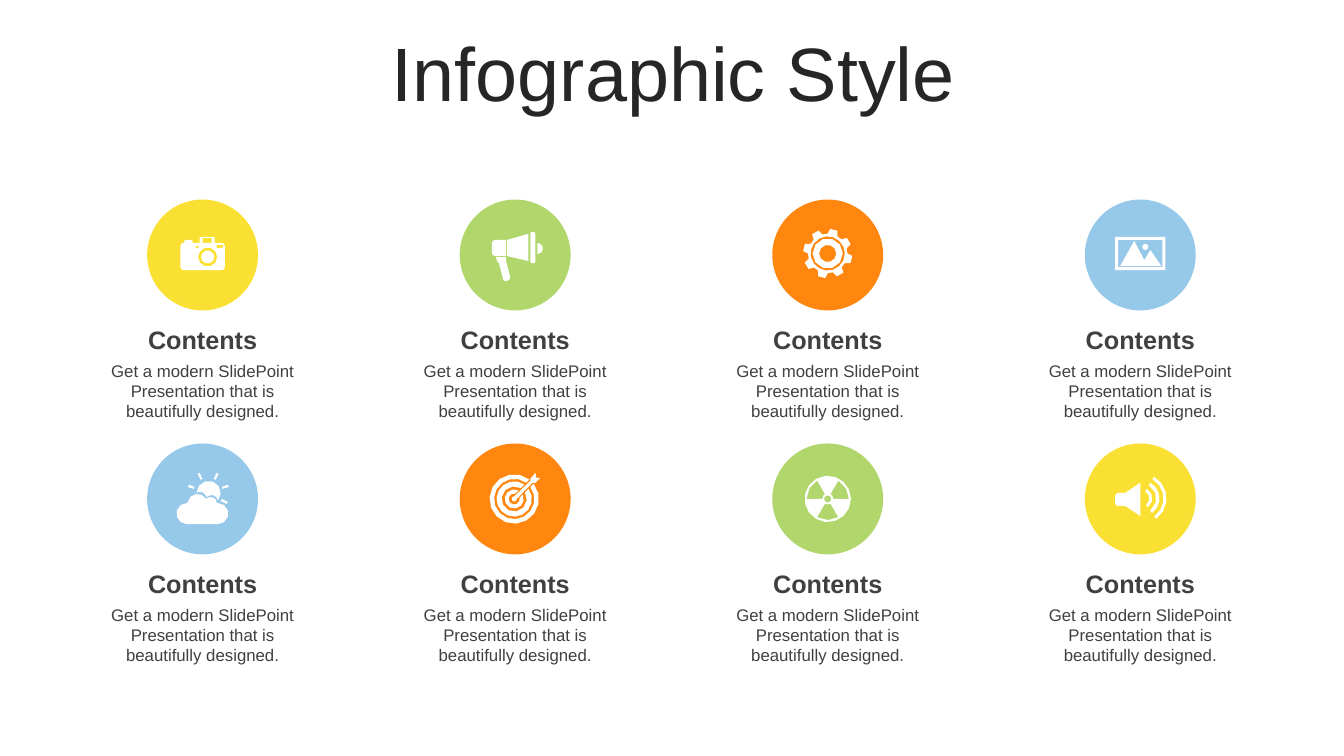
"""Build the "Infographic Style" slide: eight icon discs with captions."""
from math import asin, cos, degrees, radians, sin

from pptx import Presentation
from pptx.dml.color import RGBColor
from pptx.enum import shapes, text
from pptx.util import Inches, Pt


def polar(cx, cy, radius, angle):
    """Return the point at an angle in degrees, clockwise from the right."""
    return cx + radius * cos(radians(angle)), cy + radius * sin(radians(angle))


def arc(cx, cy, radius, start=0, end=360):
    """Return points along an arc, closer together on large radii."""
    steps = max(2, round(abs(end - start) / (24 if radius > 15 else 36)))
    return [polar(cx, cy, radius, start + (end - start) * i / steps) for i in range(steps + 1)]


def band(cx, cy, outer, inner, start, end):
    """Return the outline of a piece of a ring."""
    return arc(cx, cy, outer, start, end) + arc(cx, cy, inner, end, start)


def slotted_ring(cx, cy, outer, inner, half_slot=3):
    """Return a ring with a parallel slot towards the upper right."""
    out, inn = (degrees(asin(half_slot / r)) for r in (outer, inner))
    return arc(cx, cy, outer, out - 45, 315 - out) + arc(cx, cy, inner, 315 - inn, inn - 45)


def box(left, top, right, bottom):
    """Return the four corners of a rectangle."""
    return [(left, top), (right, top), (right, bottom), (left, bottom)]


def gear_rim(cx, cy, teeth=8, first=-75.5):
    """Return the toothed outline of a gear."""
    profile = [(-15, 19.5), (-8.6, 24.5), (8.6, 24.5), (15, 19.5)]
    return [polar(cx, cy, radius, first + tooth * 360 / teeth + turn)
            for tooth in range(teeth) for turn, radius in profile]


THEME = {
    "font": "Arial", "title_size": 54, "heading_size": 18, "body_size": 12,
    "title": "262626", "text": "404040", "icon": "FFFFFF",
    "yellow": "FBE034", "green": "B0D66C", "orange": "FF870F", "blue": "96C8E9",
}

TITLE = "Infographic Style"
HEADING = "Contents"
BODY = "Get a modern SlidePoint Presentation that is beautifully designed."

CAMERA = [
    [(-2, -18), (11, -18), (12, -17), (12, -12), *arc(19, -9, 3, -90, 0),
     *arc(19, 12, 3, 0, 90), *arc(-19, 12, 3, 90, 180), *arc(-19, -9, 3, 180, 270),
     (-18, -14), (-17, -15), (-11, -15), (-10, -14), (-10, -12), (-3, -12), (-3, -17)],
    box(0, -17, 9, -12), box(-7, -9, -4, -7), box(14, -10, 20, -7),
    arc(5, 2, 9.5), arc(5, 2, 6.5),
]
MEGAPHONE = [
    [(-9, 2), (-9, 6), (-5, 22), (-5.5, 24), (-7, 25), (-9, 26), (-11, 25.5), (-12, 24),
     (-16, 8), (-18, 6), (-19, 2)],
    arc(22, -6.5, 5.5, -90, 90),
    [(-9, -15), (-9, 1), *arc(-20, -2, 3, 90, 180), *arc(-20, -12, 3, 180, 270)],
    [(13, -21), (13, 6), (-8, 1), (-8, -15)],
    [(16, -23), (19, -23), (20, -21), (20, 7), (19, 8), (16, 8), (15, 7), (15, -21)],
]
GEAR = [gear_rim(0, -1.5)] + [arc(0, -1.5, radius) for radius in (17, 15, 8.5)]
LANDSCAPE = [
    box(-25, -18, 25, 15), box(-22, -15, 22, 12), arc(5, -8, 3),
    [(-6, -14), (4, 5), (10, -5), (21, 11), (-20, 11)],
]
WEATHER = [
    [(19, 0), (25, 3), (24, 5), (18, 2)], [(25, -14), (26, -12), (20, -10), (19, -12)],
    [(-13, -14), (-8, -12), (-9, -10), (-15, -12)],
    [(14, -26), (16, -25), (13, -19), (11, -20)], [(-3, -26), (-5, -25), (-2, -19), (0, -20)],
    arc(-15.5, 14.5, 10.5, 90, 270) + arc(-5, 5, 10, 190, 330)
    + arc(8, 4, 6, -130, 0) + arc(15, 14.5, 10.5, -90, 90),
    arc(6, -6, 12, 180, 400)
    + [(14, -1), (12, -3), (9, -4), (6, -3), (4, -2), (2, -5), (-1, -7), (-4, -7)],
]
TARGET = [slotted_ring(-1, 0, *radii) for radii in ((24.5, 20), (17.5, 12.5), (9.5, 5.5))] + [
    arc(-1, 0, 2.5, 0, 270)
    + [(15, -18), (15, -20), (20, -26), (21, -21), (25, -21), (20, -16), (17, -16)],
]
RADIATION = [arc(0, 0, 23), arc(0, 0, 3.5)] + [
    band(0, 0, 21, 5.5, start, start + 60) for start in (-60, 60, 180)
]
SPEAKER = [
    [(0, -16), (0, 17), (-15, 7), *arc(-22, 4, 3, 90, 180), *arc(-22, -3, 3, 180, 270), (-15, -6)],
] + [band(1, -0.5, outer, outer - 3, -60, 54) for outer in (11, 18, 25)]

ROWS = [
    [("yellow", CAMERA), ("green", MEGAPHONE), ("orange", GEAR), ("blue", LANDSCAPE)],
    [("blue", WEATHER), ("orange", TARGET), ("green", RADIATION), ("yellow", SPEAKER)],
]

FIRST_X, COLUMN_STEP = 2.01, 3.1
FIRST_Y, ROW_STEP = 2.53, 2.42
DISC, CAPTION_WIDTH = 1.1, 2.39
HEADING_DROP, BODY_DROP = 0.64, 1.0


def paint(shape, color):
    shape.shadow.inherit = False
    shape.fill.solid()
    shape.fill.fore_color.rgb = RGBColor.from_string(THEME[color])
    shape.line.fill.background()


def add_text(slide, words, place, size, color, bold=False, frame_format=None, spacing=None):
    frame = slide.shapes.add_textbox(*map(Inches, place)).text_frame
    frame_format = frame_format or {"auto_size": text.MSO_AUTO_SIZE.SHAPE_TO_FIT_TEXT}
    for name, value in {"word_wrap": True, **frame_format}.items():
        setattr(frame, name, value)
    paragraph = frame.paragraphs[0]
    paragraph.text = words
    paragraph.alignment = text.PP_ALIGN.CENTER
    paragraph.line_spacing = spacing
    font_format = {"name": THEME["font"], "size": Pt(THEME[size]), "bold": bold}
    for name, value in font_format.items():
        setattr(paragraph.font, name, value)
    paragraph.font.color.rgb = RGBColor.from_string(THEME[color])


def add_icon(slide, outlines, x, y):
    placed = [[(Inches(x + dx / 100), Inches(y + dy / 100)) for dx, dy in outline]
              for outline in outlines]
    builder = slide.shapes.build_freeform(*placed[0][0])
    for index, (start, *rest) in enumerate(placed):
        if index:
            builder.move_to(*start)
        builder.add_line_segments(rest, close=True)
    paint(builder.convert_to_shape(), "icon")


def add_item(slide, color, icon, x, y):
    disc = slide.shapes.add_shape(
        shapes.MSO_SHAPE.OVAL, *map(Inches, (x - DISC / 2, y - DISC / 2, DISC, DISC)))
    paint(disc, color)
    add_icon(slide, icon, x, y)
    left = x - CAPTION_WIDTH / 2
    add_text(slide, BODY, (left, y + BODY_DROP, CAPTION_WIDTH, 0.71), "body_size", "text")
    add_text(slide, HEADING, (left, y + HEADING_DROP, CAPTION_WIDTH, 0.4),
             "heading_size", "text", bold=True)


def main():
    deck = Presentation()
    deck.slide_width, deck.slide_height = Inches(13.33), Inches(7.5)
    slide = deck.slides.add_slide(deck.slide_layouts[6])
    add_text(slide, TITLE, (0.35, 0.37, 12.66, 0.79), "title_size", "title",
             frame_format={"vertical_anchor": text.MSO_ANCHOR.MIDDLE}, spacing=0.9)
    for row, items in enumerate(ROWS):
        for column, (color, icon) in enumerate(items):
            add_item(slide, color, icon,
                     FIRST_X + column * COLUMN_STEP, FIRST_Y + row * ROW_STEP)
    deck.save("out.pptx")


if __name__ == "__main__":
    main()
